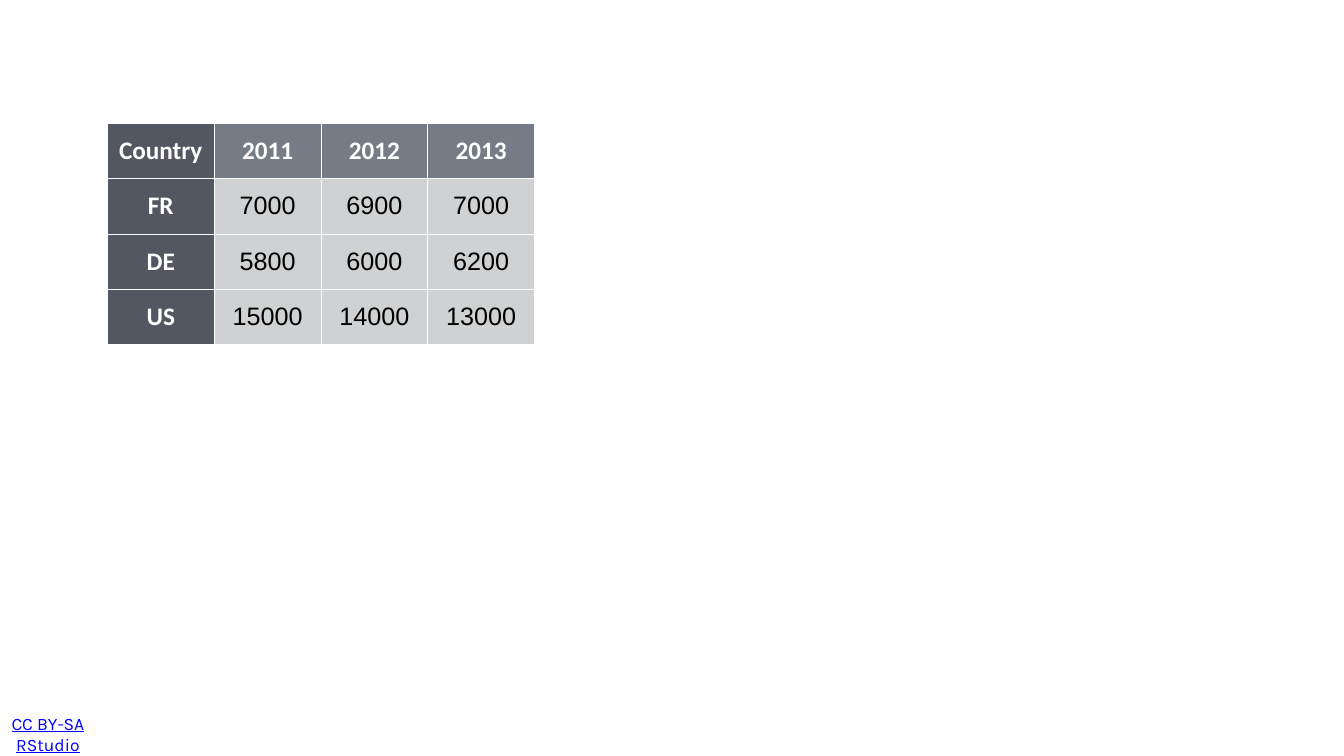
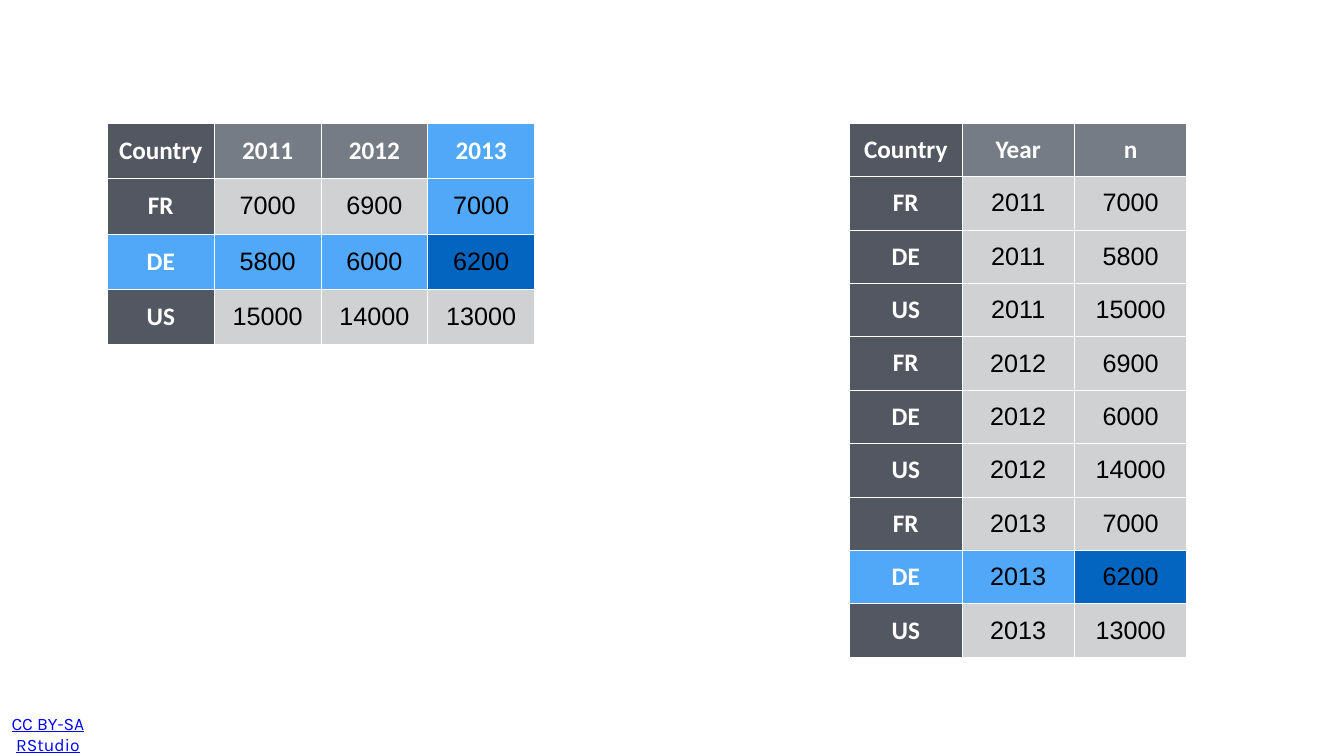
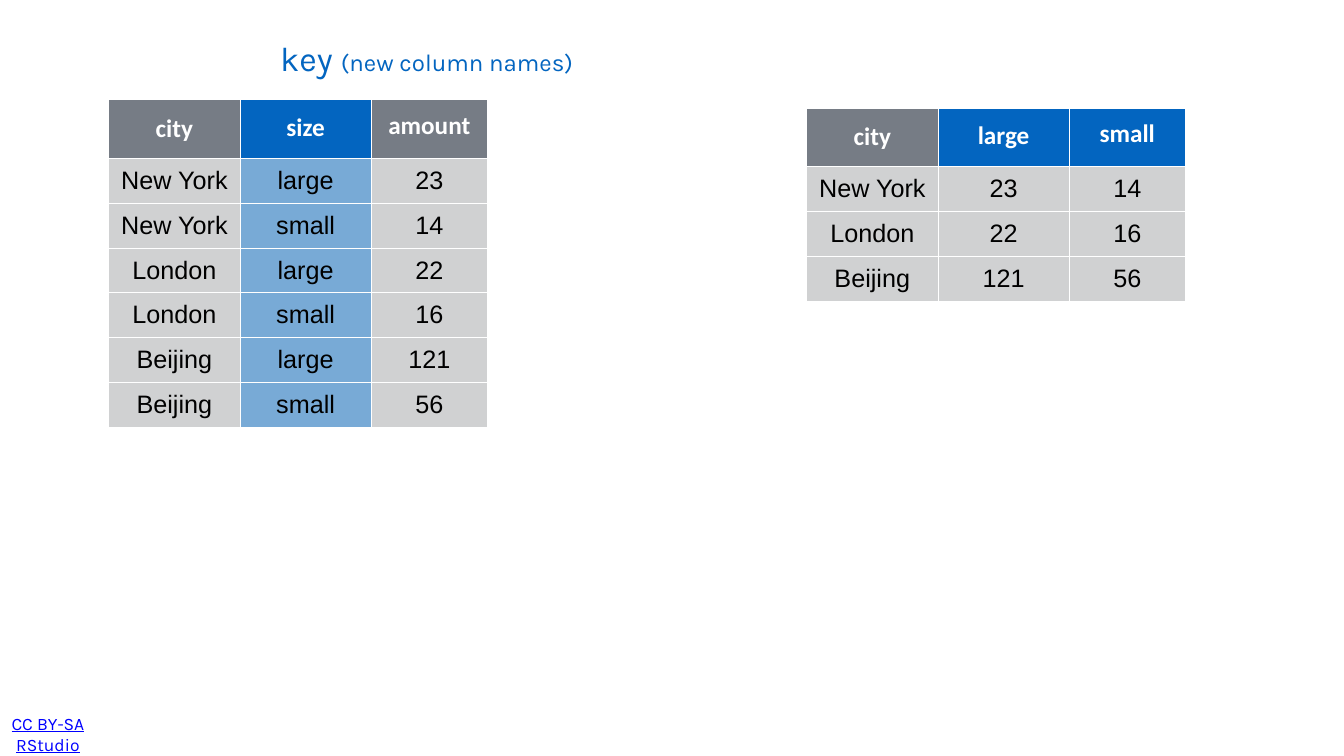
from lxml import etree
from pptx import Presentation
from pptx.dml.color import RGBColor
from pptx.enum.text import MSO_ANCHOR, PP_ALIGN
from pptx.oxml.ns import qn
from pptx.util import Inches, Pt

# Colours
WHITE, BLACK, LINK = "FFFFFF", "000000", "0000FF"
HEAD, ROW_HEAD, BODY = "767C85", "535761", "D0D1D2"
BLUE, SKY, PALE_BLUE = "0365C0", "51A8F9", "78AAD6"

# Table data
COUNTRIES = ["FR", "DE", "US"]
YEARS = ["2011", "2012", "2013"]
CASES = [["7000", "6900", "7000"],
         ["5800", "6000", "6200"],
         ["15000", "14000", "13000"]]
WIDE_CASES = [["Country"] + YEARS] + [[c] + row for c, row in zip(COUNTRIES, CASES)]
LONG_CASES = [["Country", "Year", "n"]] + [
    [country, year, CASES[i][j]]
    for j, year in enumerate(YEARS) for i, country in enumerate(COUNTRIES)]

SIZES = ["large", "small"]
POLLUTION = {"New York": ["23", "14"], "London": ["22", "16"], "Beijing": ["121", "56"]}
LONG_CITIES = [["city", "size", "amount"]] + [
    [city, size, amount]
    for city, amounts in POLLUTION.items() for size, amount in zip(SIZES, amounts)]
WIDE_CITIES = [["city"] + SIZES] + [[city] + a for city, a in POLLUTION.items()]
CITY_COLS = [2.62, 2.59, 2.32]
CITY_HEAD_SPACING = [1, 0.8, 0.6]


def rgb(value):
    return RGBColor.from_string(value)


class Deck:
    """Holds the shared style and the current slide."""

    def __init__(self):
        self.prs = Presentation()
        self.prs.slide_width, self.prs.slide_height = Inches(26.67), Inches(15)

    def add_slide(self):
        self.s = self.prs.slides.add_slide(self.prs.slide_layouts[6])
        self.footer()

    def style(self, r, size, font, colour, bold=False):
        r.font.size, r.font.name, r.font.bold = Pt(size), font, bold
        r.font.color.rgb = rgb(colour)

    def text(self, x, y, w, h, runs, colour, align=PP_ALIGN.LEFT, right=0.08):
        tf = self.s.shapes.add_textbox(Inches(x), Inches(y), Inches(w), Inches(h)).text_frame
        tf.word_wrap = True
        tf.vertical_anchor = MSO_ANCHOR.MIDDLE
        tf.margin_left = tf.margin_top = tf.margin_bottom = Inches(0.08)
        tf.margin_right = Inches(right)
        p = tf.paragraphs[0]
        p.alignment = align
        for text, size in runs:
            r = p.add_run()
            r.text = text
            self.style(r, size, "Karla", colour)
        return p

    def footer(self):
        # The wide right margin breaks the licence into two lines
        p = self.text(0.12, 14.26, 2.66, 0.6, [("CC BY-SA RStudio", 25)], LINK,
                      PP_ALIGN.CENTER, right=1.08)
        p.runs[0].font.underline = True

    def borders(self, cell):
        tc_pr = cell._tc.get_or_add_tcPr()
        for i, side in enumerate(("a:lnL", "a:lnR", "a:lnT", "a:lnB")):
            ln = etree.Element(qn(side), w=str(Pt(1)))
            fill = etree.SubElement(ln, qn("a:solidFill"))
            etree.SubElement(fill, qn("a:srgbClr"), val=WHITE)
            tc_pr.insert(i, ln)

    def table(self, x, y, cols, rows, data, row_heads=False, marks=None, spacing=None):
        """marks maps (row, column) to a fill; spacing is for the header cells."""
        marks = marks or {}
        table = self.s.shapes.add_table(len(rows), len(cols), Inches(x), Inches(y),
                                        Inches(sum(cols)), Inches(sum(rows))).table
        table.horz_banding = table.first_row = False
        for col, width in zip(table.columns, cols):
            col.width = Inches(width)
        for row, height in zip(table.rows, rows):
            row.height = Inches(height)
        for i, values in enumerate(data):
            for j, value in enumerate(values):
                row_head = row_heads and j == 0
                is_head = i == 0 or row_head
                base = ROW_HEAD if row_head else HEAD if is_head else BODY
                cell = table.cell(i, j)
                cell.fill.solid()
                cell.fill.fore_color.rgb = rgb(marks.get((i, j), base))
                cell.vertical_anchor = MSO_ANCHOR.MIDDLE
                cell.margin_left = cell.margin_right = Inches(0.06)
                cell.margin_top = cell.margin_bottom = Inches(0.06)
                self.borders(cell)
                p = cell.text_frame.paragraphs[0]
                p.text = value
                p.alignment = PP_ALIGN.CENTER
                if spacing and i == 0:
                    p.line_spacing = float(spacing[j])
                self.style(p.runs[0], 36, "Calibri" if is_head else "Arial",
                           WHITE if is_head else BLACK, is_head)

    def wide_cases(self, marks=None):
        self.table(2.13, 2.44, [2.12] * 4, [1.1] * 4, WIDE_CASES, True, marks)

    def cities(self, x, y, data, marks):
        rows = [1.16] + [0.89] * (len(data) - 1)
        self.table(x, y, CITY_COLS, rows, data, marks=marks, spacing=CITY_HEAD_SPACING)


def main():
    deck = Deck()

    # Slide 1: cases in wide form
    deck.add_slide()
    deck.wide_cases()

    # Slide 2: one value traced from wide to long form
    deck.add_slide()
    deck.wide_cases({(0, 3): SKY, (1, 3): SKY, (2, 0): SKY, (2, 1): SKY,
                     (2, 2): SKY, (2, 3): BLUE})
    deck.table(16.86, 2.44, [2.23] * 3, [1.06] * 10, LONG_CASES, True,
               {(8, 0): SKY, (8, 1): SKY, (8, 2): BLUE})

    # Slide 3: the key column becomes column names
    deck.add_slide()
    key_column = {(i, 1): PALE_BLUE for i in range(1, len(LONG_CITIES))}
    deck.cities(2.15, 1.98, LONG_CITIES, {(0, 1): BLUE, **key_column})
    deck.cities(16, 2.14, WIDE_CITIES, {(0, 1): BLUE, (0, 2): BLUE})
    deck.text(5.48, 0.65, 7.08, 1, [("key ", 48.7), ("(new column names)", 34.4)], BLUE)

    deck.prs.save("out.pptx")


if __name__ == "__main__":
    main()
